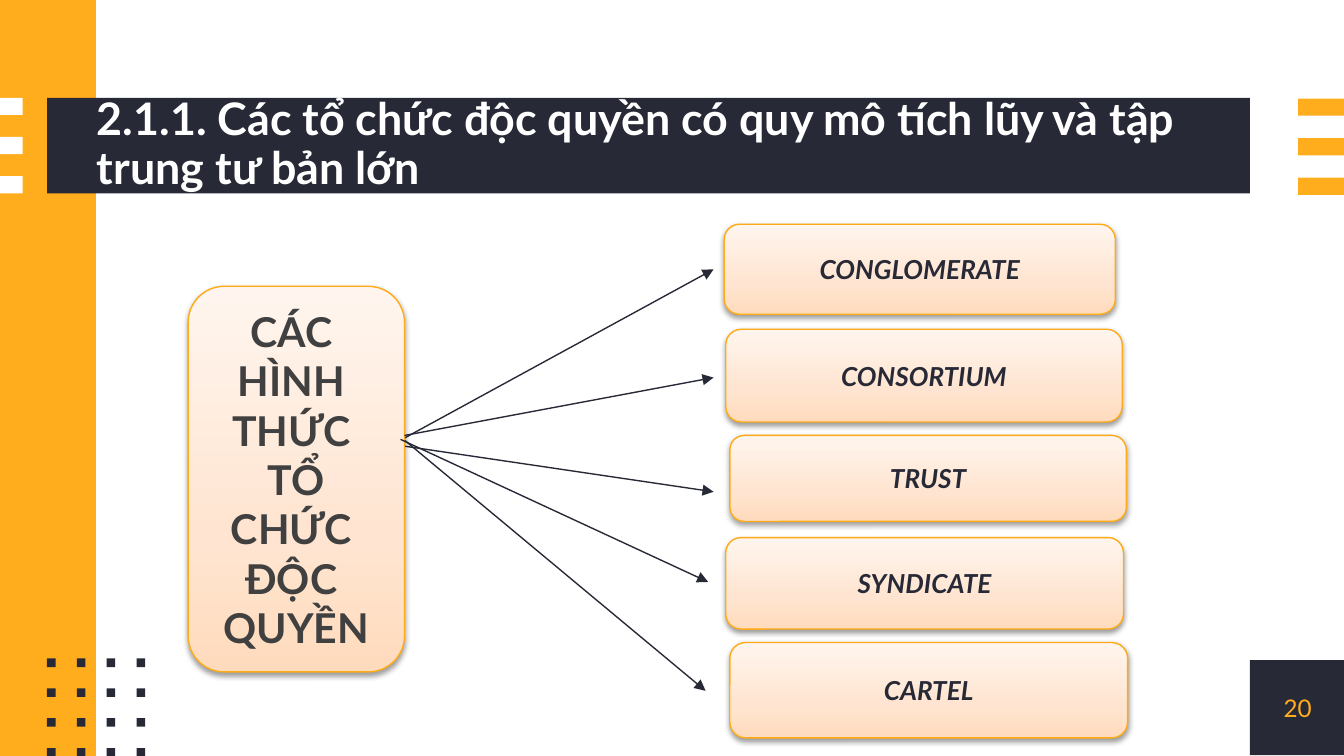
from lxml.etree import SubElement
from pptx import Presentation
from pptx.dml.color import RGBColor
from pptx.enum.shapes import MSO_CONNECTOR as Connector, MSO_SHAPE as Shape
from pptx.enum.text import MSO_ANCHOR as Anchor, PP_ALIGN as Align
from pptx.oxml.ns import qn
from pptx.util import Pt

NAVY, AMBER, WHITE, GRAY = "272A36", "FFAD1D", "FFFFFF", "404040"
CARD_LINE = "FFAB17"
CARD_STOPS = [(0, "FFDBBD"), (35, "FFE5D1"), (100, "FFF5EE")]
TITLE = "2.1.1. Các tổ chức độc quyền có quy mô tích lũy và tập trung tư bản lớn"
TOPIC = ["CÁC ", "HÌNH ", "THỨC ", "TỔ", "CHỨC ", "ĐỘC ", "QUYỀN"]
FORMS = [
    ("CARTEL", 291, 224.2, 213.1, 51.1),
    ("SYNDICATE", 288.8, 168, 213.1, 49),
    ("TRUST", 291, 113.3, 212.4, 46.1),
    ("CONSORTIUM", 288.8, 56.4, 212.4, 49.7),
    ("CONGLOMERATE", 288, 0.2, 209.5, 48.2),
]
BACK_ARROWS = [
    (116.7, 114.7, 282.3, 24.3),
    (111.7, 118.3, 282.3, 143.5),
    (110.2, 110.4, 278, 250.1),
]
FRONT_ARROWS = [(114.6, 115.4, 279.4, 191.8), (116.7, 113.3, 282.3, 82.3)]


def paint(color, value):
    """Set a colour format from a hex string."""
    color.rgb = RGBColor.from_string(value)


def add_block(page, left, top, width, height, color):
    """Add a plain filled rectangle."""
    block = page.shapes.add_shape(Shape.RECTANGLE, Pt(left), Pt(top), Pt(width), Pt(height))
    block.shadow.inherit = False
    block.fill.solid()
    paint(block.fill.fore_color, color)
    block.line.fill.background()


def write(frame, lines, size, color, align=Align.CENTER, bold=False, italic=False):
    """Fill a text frame with one paragraph per line."""
    frame.word_wrap = True
    frame.vertical_anchor = Anchor.MIDDLE
    frame.text = "\n".join(lines)
    for para in frame.paragraphs:
        para.alignment = align
        for span in para.runs:
            font = span.font
            font.name, font.size, font.bold, font.italic = "Lato", Pt(size), bold, italic
            paint(font.color, color)


def add_text(page, left, top, width, height, text, size, color, **style):
    """Add a text box without margins and return its first paragraph."""
    box = page.shapes.add_textbox(Pt(left), Pt(top), Pt(width), Pt(height))
    frame = box.text_frame
    frame.margin_left = frame.margin_right = frame.margin_top = frame.margin_bottom = 0
    write(frame, [text], size, color, **style)
    return frame.paragraphs[0]


def add_card(page, left, top, width, height, lines, size, color, italic=False):
    """Add a rounded card with a gradient and a soft shadow."""
    card = page.shapes.add_shape(
        Shape.ROUNDED_RECTANGLE, Pt(left), Pt(top), Pt(width), Pt(height))
    card.fill.gradient()
    card.fill.gradient_angle = 90
    stops = card.element.spPr.find(".//" + qn("a:gsLst"))
    for stop in list(stops):
        stops.remove(stop)
    for position, value in CARD_STOPS:
        stop = SubElement(stops, qn("a:gs"), pos=str(position * 1000))
        SubElement(stop, qn("a:srgbClr"), val=value)
    paint(card.line.color, CARD_LINE)
    card.line.width = Pt(0.75)
    card.shadow.inherit = False
    effects = card.element.spPr.find(qn("a:effectLst"))
    shadow = SubElement(effects, qn("a:outerShdw"), blurRad=str(Pt(3.1)),
                        dist=str(Pt(1.6)), dir="5400000", rotWithShape="0")
    tint = SubElement(shadow, qn("a:srgbClr"), val="000000")
    SubElement(tint, qn("a:alpha"), val="38000")
    write(card.text_frame, lines, size, color, bold=True, italic=italic)


def add_arrow(page, left, top, right, bottom):
    """Add a thin straight arrow between two points."""
    arrow = page.shapes.add_connector(
        Connector.STRAIGHT, Pt(left), Pt(top), Pt(right), Pt(bottom))
    paint(arrow.line.color, NAVY)
    arrow.line.width = Pt(0.75)
    SubElement(arrow.element.spPr.find(qn("a:ln")), qn("a:tailEnd"), type="triangle")
    SubElement(arrow.element.spPr, qn("a:effectLst"))


def add_stripes(page, left, top, width, gap, color):
    """Stack three short stripes."""
    for row in range(3):
        add_block(page, left, top + row * gap, width, 9.2, color)


def add_dots(page, left, top):
    """Add a four by four grid of small squares."""
    for row in range(4):
        for column in range(4):
            add_block(page, left + column * 16, top + row * 16, 4.6, 4.6, NAVY)


def add_header(page, left, top, width, height):
    """Add the title band."""
    add_block(page, left, top, width, height, NAVY)
    para = add_text(page, left + 26.8, top, width - 26.8, height, TITLE, 24, WHITE,
                    align=Align.LEFT, bold=True)
    para.line_spacing = 0.9


def add_page_number(page, left, top, size):
    """Add the square that holds the page number."""
    add_block(page, left, top, size, size, NAVY)
    add_text(page, left, top, size, size, "20", 13, AMBER)


def add_diagram(page, left, top):
    """Add the topic card, its five forms and the arrows to them."""
    def place_arrows(arrows):
        """Shift arrows to the diagram and add them."""
        for x1, y1, x2, y2 in arrows:
            add_arrow(page, left + x1, top + y1, left + x2, top + y2)

    for label, x, y, width, height in FORMS:
        add_card(page, left + x, top + y, width, height, [label], 14, NAVY, italic=True)
    place_arrows(BACK_ARROWS)
    add_card(page, left + 0.8, top + 33.4, 115.9, 206.6, TOPIC, 22, GRAY)
    place_arrows(FRONT_ARROWS)


def main():
    """Build the slide and save the deck."""
    deck = Presentation()
    deck.slide_width, deck.slide_height = Pt(720), Pt(405)
    page = deck.slides.add_slide(deck.slide_layouts[6])
    add_block(page, 0, 0, 51.4, 405, AMBER)
    add_header(page, 25.2, 52.4, 644.4, 51.2)
    add_stripes(page, 0, 52.4, 12.2, 21, WHITE)
    add_stripes(page, 695.4, 52.8, 24.6, 21.2, AMBER)
    add_dots(page, 25.2, 352.8)
    add_page_number(page, 669.6, 353.6, 51)
    add_diagram(page, 100, 120)
    deck.save("out.pptx")


if __name__ == "__main__":
    main()
